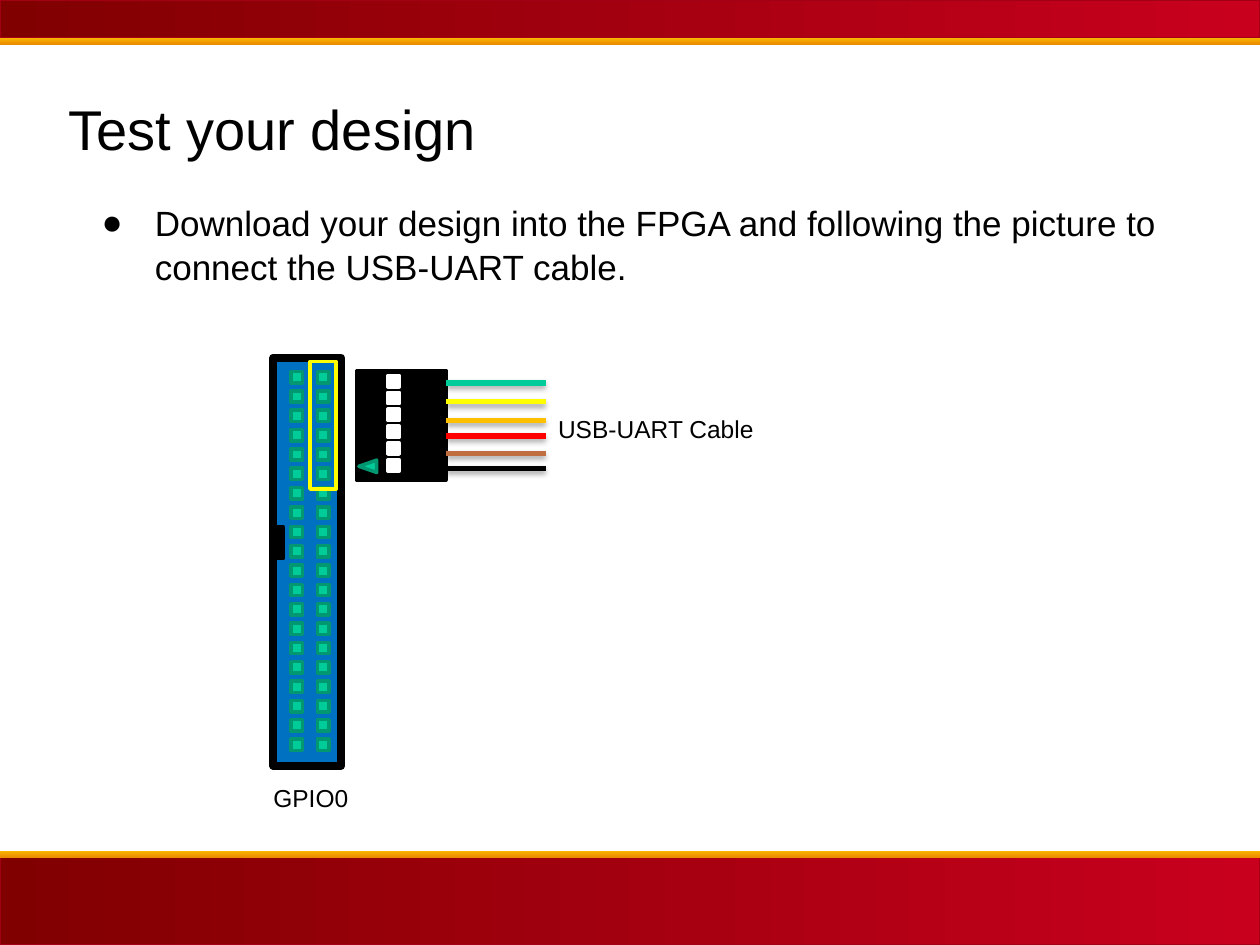
import pptx
import pptx.util
import pptx.dml.color
import pptx.enum.shapes
import pptx.enum.text
import pptx.oxml

Cm = pptx.util.Cm
Pt = pptx.util.Pt
RGBColor = pptx.dml.color.RGBColor
MSO_SHAPE = pptx.enum.shapes.MSO_SHAPE
MSO_ANCHOR = pptx.enum.text.MSO_ANCHOR
MSO_AUTO_SIZE = pptx.enum.text.MSO_AUTO_SIZE
PP_ALIGN = pptx.enum.text.PP_ALIGN

BLACK = RGBColor(0x00, 0x00, 0x00)
WHITE = RGBColor(0xFF, 0xFF, 0xFF)
CRIMSON = RGBColor(0xC8, 0x00, 0x1E)
MAROON = RGBColor(0x80, 0x00, 0x00)
BAND_EDGE = RGBColor(0xA2, 0x00, 0x14)
GOLD = RGBColor(0xFA, 0xB9, 0x00)
AMBER = RGBColor(0xEB, 0x8D, 0x00)
BLUE = RGBColor(0x00, 0x70, 0xC0)
GREEN = RGBColor(0x00, 0xCC, 0x99)
DARK_GREEN = RGBColor(0x00, 0x97, 0x71)
YELLOW = RGBColor(0xFF, 0xFF, 0x00)
ORANGE = RGBColor(0xFF, 0xC0, 0x00)
RED = RGBColor(0xFF, 0x00, 0x00)
BROWN = RGBColor(0xC0, 0x6E, 0x40)

FONT = "Arial"
SLIDE_W, SLIDE_H = 25.4, 19.05
PIN = 0.23
A_NS = 'xmlns:a="http://schemas.openxmlformats.org/drawingml/2006/main"'
WIRE_SHADOW = (
    f'<a:effectLst {A_NS}><a:outerShdw blurRad="40000" dist="23000" dir="5400000" '
    'rotWithShape="0"><a:srgbClr val="000000"><a:alpha val="35000"/></a:srgbClr>'
    '</a:outerShdw></a:effectLst>'
)
BULLET = (
    f'<a:buClr {A_NS}><a:srgbClr val="000000"/></a:buClr>',
    f'<a:buFont {A_NS} typeface="{FONT}"/>',
    f'<a:buChar {A_NS} char="●"/>',
)


def place(sp, left, top, width, height):
    sp.left, sp.top = Cm(left), Cm(top)
    sp.width, sp.height = Cm(width), Cm(height)


def add_box(s, left, top, width, height, fill=None, line=None, weight=2,
            kind=MSO_SHAPE.RECTANGLE):
    sp = s.shapes.add_shape(kind, Cm(left), Cm(top), Cm(width), Cm(height))
    sp.shadow.inherit = False
    if fill is None:
        sp.fill.background()
    else:
        sp.fill.solid()
        sp.fill.fore_color.rgb = fill
    if line is None:
        sp.line.fill.background()
    else:
        sp.line.color.rgb = line
        sp.line.width = Pt(weight)
    return sp


def add_band(s, top, height, colors, angle, line=None):
    sp = add_box(s, 0, top, SLIDE_W, height, line=line, weight=0.75)
    sp.fill.gradient()
    sp.fill.gradient_angle = angle
    for stop, color in zip(sp.fill.gradient_stops, colors):
        stop.color.rgb = color


def add_run(p, text, size):
    r = p.add_run()
    r.text = text
    r.font.name = FONT
    r.font.size = Pt(size)
    r.font.color.rgb = BLACK


def add_label(s, text, left, top, width):
    sp = s.shapes.add_textbox(Cm(left), Cm(top), Cm(width), Cm(0.86))
    tf = sp.text_frame
    tf.word_wrap = True
    tf.auto_size = MSO_AUTO_SIZE.SHAPE_TO_FIT_TEXT
    add_run(tf.paragraphs[0], text, 14)


def add_wire(s, y, color):
    c = s.shapes.add_connector(pptx.enum.shapes.MSO_CONNECTOR.STRAIGHT,
                               Cm(9), Cm(y), Cm(11), Cm(y))
    c.line.color.rgb = color
    c.line.width = Pt(3)
    c._element.spPr.append(pptx.oxml.parse_xml(WIRE_SHADOW))


def set_title(s, text):
    sp = s.shapes.title
    place(sp, 1.12, 1.52, 22.86, 2.11)
    tf = sp.text_frame
    tf.auto_size = MSO_AUTO_SIZE.NONE
    tf.vertical_anchor = MSO_ANCHOR.MIDDLE
    p = tf.paragraphs[0]
    p.alignment = PP_ALIGN.LEFT
    add_run(p, text, 32)


def set_body(s, text):
    sp = s.placeholders[1]
    place(sp, 1.6, 3.76, 23.14, 2.62)
    tf = sp.text_frame
    tf.auto_size = MSO_AUTO_SIZE.NONE
    tf.margin_left = tf.margin_right = tf.margin_top = tf.margin_bottom = Cm(0.25)
    p = tf.paragraphs[0]
    p.line_spacing = 1.05
    p.space_before = Pt(0)
    pPr = p._p.get_or_add_pPr()
    pPr.set("marL", str(Cm(1.27)))
    pPr.set("indent", str(Cm(-1.07)))
    for xml in BULLET:
        pPr.append(pptx.oxml.parse_xml(xml))
    add_run(p, text, 20)


def draw_bands(s):
    add_band(s, 17.27, SLIDE_H - 17.27, (CRIMSON, MAROON), 180, BAND_EDGE)
    add_band(s, 0, 0.76, (CRIMSON, MAROON), 180, BAND_EDGE)
    for top in (0.76, 17.15):
        add_band(s, top, 0.13, (GOLD, AMBER), 270)


def draw_header(s):
    add_box(s, 5.51, 7.21, 1.37, 8.23, BLUE, BLACK, 4.5)
    add_box(s, 5.51, 10.62, 0.2, 0.64, BLACK, BLACK)
    for left in (5.87, 6.4):
        for row in range(20):
            add_box(s, left, 7.49 + 0.39 * row, PIN, PIN, GREEN, DARK_GREEN)
    add_box(s, 6.25, 7.29, 0.53, 2.57, line=YELLOW)
    add_label(s, "GPIO0", 5.26, 15.67, 2.13)


def draw_cable(s):
    add_box(s, 7.19, 7.47, 1.8, 2.21, BLACK, BLACK)
    marker = add_box(s, 7.29, 9.22, 0.25, 0.36, GREEN, DARK_GREEN,
                     kind=MSO_SHAPE.ISOSCELES_TRIANGLE)
    marker.rotation = 270
    wires = ((7.72, GREEN), (8.1, YELLOW), (8.48, ORANGE),
             (8.79, RED), (9.14, BROWN), (9.45, BLACK))
    for y, color in wires:
        add_wire(s, y, color)
    add_label(s, "USB-UART Cable", 11, 8.23, 4.9)
    for row in range(len(wires)):
        add_box(s, 7.82, 7.57 + 0.34 * row, PIN, PIN, WHITE, WHITE)


def main():
    prs = pptx.Presentation()
    prs.slide_width, prs.slide_height = Cm(SLIDE_W), Cm(SLIDE_H)
    s = prs.slides.add_slide(prs.slide_layouts[1])
    draw_bands(s)
    set_title(s, "Test your design")
    set_body(s, "Download your design into the FPGA and following the picture to "
                "connect the USB-UART cable.")
    draw_header(s)
    draw_cable(s)
    prs.save("out.pptx")


if __name__ == "__main__":
    main()
